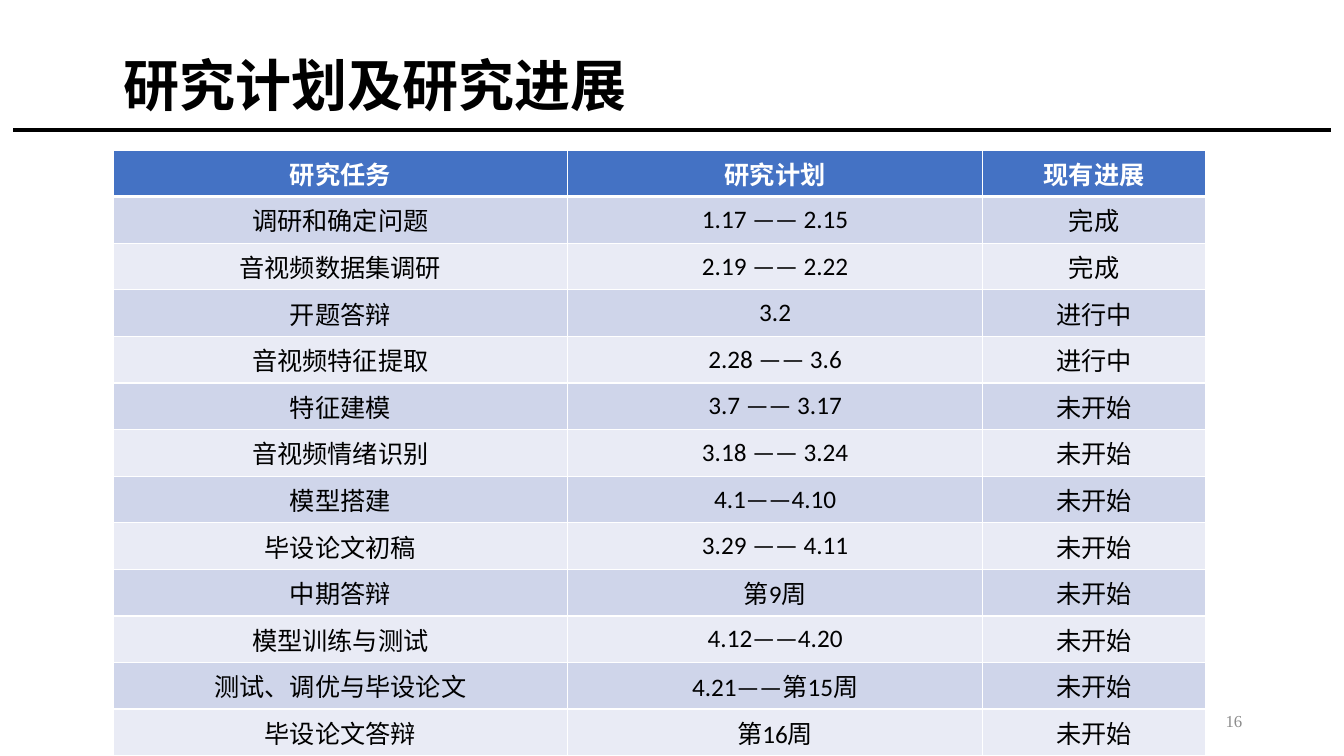
from dataclasses import dataclass

from lxml import etree
from pptx import Presentation
from pptx.dml.color import RGBColor
from pptx.enum.shapes import MSO_CONNECTOR
from pptx.enum.text import MSO_ANCHOR, MSO_AUTO_SIZE, PP_ALIGN
from pptx.oxml.ns import qn
from pptx.util import Cm, Pt

LEFT, CENTER, RIGHT = PP_ALIGN.LEFT, PP_ALIGN.CENTER, PP_ALIGN.RIGHT
MIDDLE = MSO_ANCHOR.MIDDLE
NO_FIT = MSO_AUTO_SIZE.NONE
STRAIGHT = MSO_CONNECTOR.STRAIGHT

TITLE_ONLY = 5
CJK_FONT = "Noto Sans CJK SC"
BLACK, WHITE, GREY = "000000", "FFFFFF", "8C8C8C"
HEADER_FILL = "4472C4"
BAND_FILLS = ("CFD5EA", "E9EBF5")
COLUMN_WIDTHS = (11.45, 10.46, 5.61)
ROW_HEIGHT = 1.17
THIN, THICK = 1, 3


@dataclass
class TextStyle:
    size: float
    font: str
    color: str
    align: PP_ALIGN
    bold: bool = False


@dataclass
class Task:
    name: str
    schedule: str
    progress: str


TITLE_STYLE = TextStyle(40, CJK_FONT, BLACK, LEFT, True)
NUMBER_STYLE = TextStyle(12, "Times New Roman", GREY, RIGHT)
HEADER_STYLE = TextStyle(18, "Calibri", WHITE, CENTER, True)
BODY_STYLE = TextStyle(18, "Calibri", BLACK, CENTER)

HEADINGS = Task("研究任务", "研究计划", "现有进展")
TASKS = [
    Task("调研和确定问题", "1.17 —— 2.15", "完成"),
    Task("音视频数据集调研", "2.19 —— 2.22", "完成"),
    Task("开题答辩", "3.2", "进行中"),
    Task("音视频特征提取", "2.28 —— 3.6", "进行中"),
    Task("特征建模", "3.7 —— 3.17", "未开始"),
    Task("音视频情绪识别", "3.18 —— 3.24", "未开始"),
    Task("模型搭建", "4.1——4.10", "未开始"),
    Task("毕设论文初稿", "3.29 —— 4.11", "未开始"),
    Task("中期答辩", "第9周", "未开始"),
    Task("模型训练与测试", "4.12——4.20", "未开始"),
    Task("测试、调优与毕设论文", "4.21——第15周", "未开始"),
    Task("毕设论文答辩", "第16周", "未开始"),
]


def rgb(color: str) -> RGBColor:
    return RGBColor.from_string(color)


def write(frame, text: str, style: TextStyle) -> None:
    paragraph = frame.paragraphs[0]
    paragraph.alignment = style.align
    run = paragraph.add_run()
    run.text = text
    font_format = {"size": Pt(style.size), "name": style.font, "bold": style.bold}
    for attribute, value in font_format.items():
        setattr(run.font, attribute, value)
    run.font.color.rgb = rgb(style.color)
    east_asian = etree.SubElement(run.font._element, qn("a:ea"))
    east_asian.set("typeface", CJK_FONT)


def place(shape, left: float, top: float, width: float, height: float) -> None:
    position = {"left": left, "top": top, "width": width, "height": height}
    for attribute, value in position.items():
        setattr(shape, attribute, Cm(value))
    frame_format = {"word_wrap": True, "auto_size": NO_FIT, "vertical_anchor": MIDDLE}
    for attribute, value in frame_format.items():
        setattr(shape.text_frame, attribute, value)


def set_borders(cell, top: float, bottom: float) -> None:
    properties = cell._tc.get_or_add_tcPr()
    widths = {"a:lnL": THIN, "a:lnR": THIN, "a:lnT": top, "a:lnB": bottom}
    for side, width in widths.items():
        line = etree.SubElement(properties, qn(side), w=str(Pt(width)))
        fill = etree.SubElement(line, qn("a:solidFill"))
        etree.SubElement(fill, qn("a:srgbClr"), val=WHITE)


def add_schedule(slide, tasks: list[Task]) -> None:
    rows = [HEADINGS, *tasks]
    schedule = slide.shapes.add_table(
        len(rows), len(COLUMN_WIDTHS), Cm(2.85), Cm(3.78),
        Cm(sum(COLUMN_WIDTHS)), Cm(ROW_HEIGHT * len(rows))).table
    schedule.horz_banding = False
    for column, width in zip(schedule.columns, COLUMN_WIDTHS):
        column.width = Cm(width)

    for index, task in enumerate(rows):
        schedule.rows[index].height = Cm(ROW_HEIGHT)
        is_header = index == 0
        fill = HEADER_FILL if is_header else BAND_FILLS[(index - 1) % 2]
        style = HEADER_STYLE if is_header else BODY_STYLE
        texts = (task.name, task.schedule, task.progress)
        for cell, text in zip(schedule.rows[index].cells, texts):
            set_borders(cell, THICK if index == 1 else THIN, THICK if is_header else THIN)
            cell.fill.solid()
            cell.fill.fore_color.rgb = rgb(fill)
            cell.vertical_anchor = MIDDLE
            write(cell.text_frame, text, style)


def main() -> None:
    presentation = Presentation()
    presentation.slide_width, presentation.slide_height = Cm(33.86), Cm(19.05)
    slide = presentation.slides.add_slide(presentation.slide_layouts[TITLE_ONLY])

    # Rule under the title
    rule = slide.shapes.add_connector(STRAIGHT, Cm(0.33), Cm(3.28), Cm(33.53), Cm(3.28))
    rule.line.color.rgb = rgb(BLACK)
    rule.line.width = Pt(3)
    etree.SubElement(rule._element.spPr, qn("a:effectLst"))

    # Title
    title = slide.shapes.title
    place(title, 2.85, 0.38, 29.21, 3.68)
    write(title.text_frame, "研究计划及研究进展", TITLE_STYLE)
    title.text_frame.paragraphs[0].line_spacing = 0.9

    # Page number
    page_number = slide.shapes.add_textbox(0, 0, 0, 0)
    place(page_number, 23.93, 17.65, 7.62, 1.02)
    write(page_number.text_frame, "16", NUMBER_STYLE)

    # Research schedule
    add_schedule(slide, TASKS)

    presentation.save("out.pptx")


if __name__ == "__main__":
    main()
